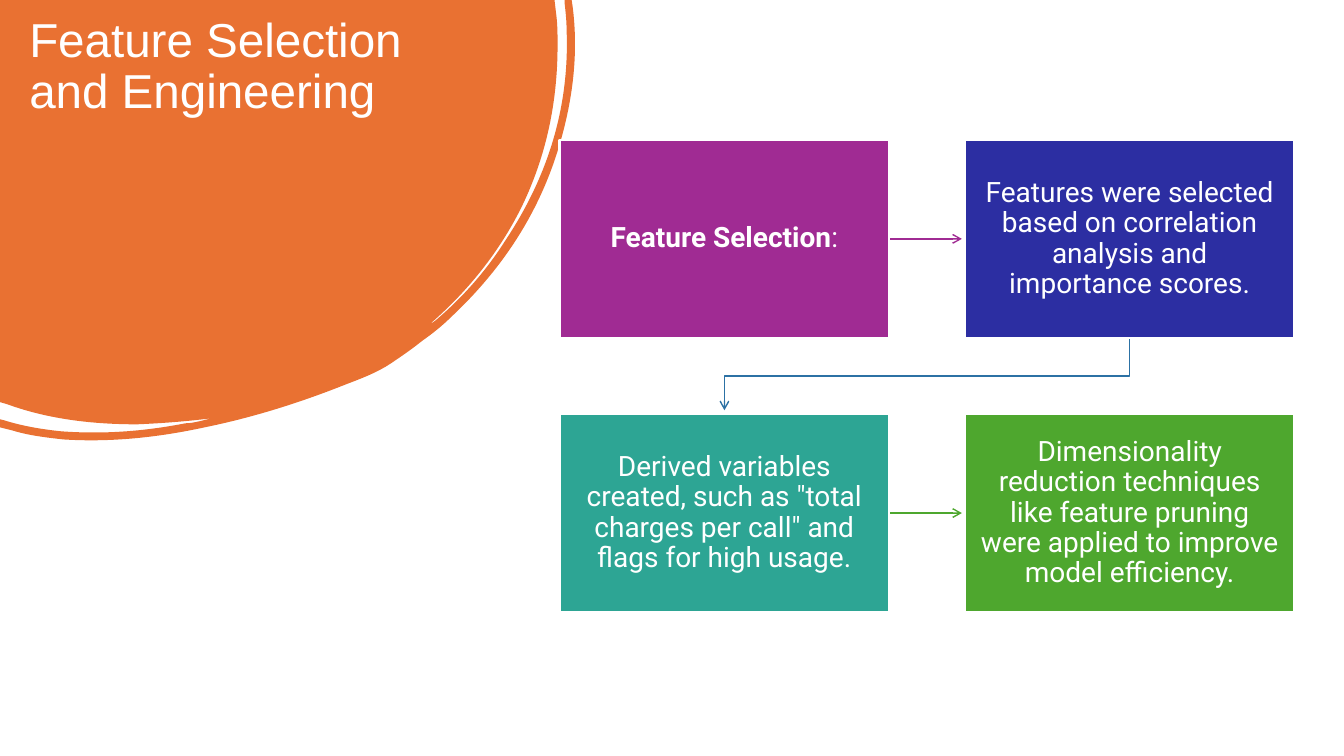
from pptx import Presentation
from pptx.dml.color import RGBColor
from pptx.enum.shapes import MSO_CONNECTOR, MSO_SHAPE
from pptx.enum.text import MSO_ANCHOR, MSO_AUTO_SIZE, PP_ALIGN
from pptx.oxml.ns import qn
from pptx.util import Inches, Pt
from lxml import etree

STRAIGHT = MSO_CONNECTOR.STRAIGHT
RECT = MSO_SHAPE.RECTANGLE
TOP, MIDDLE = MSO_ANCHOR.TOP, MSO_ANCHOR.MIDDLE
LEFT, CENTER = PP_ALIGN.LEFT, PP_ALIGN.CENTER
NO_FIT = MSO_AUTO_SIZE.NONE


def rgb(code):
    return RGBColor.from_string(code)


def style_arrow(arrow, color):
    arrow.line.color.rgb = rgb(color)
    arrow.line.width = Pt(1)
    line = arrow.line._get_or_add_ln()
    etree.SubElement(line, qn("a:tailEnd"), type="arrow")


deck = Presentation()
deck.slide_width, deck.slide_height = Inches(13.33), Inches(7.5)
slide = deck.slides.add_slide(deck.slide_layouts[5])
shapes = slide.shapes

# Orange corner blob: pairs are line ends, sixes are Bezier curves
OUTLINE = [
    (5.5, 0), (5.52, 0.17),
    (5.53, 0.26, 5.53, 0.36, 5.53, 0.45),
    (5.53, 1.01, 5.42, 1.54, 5.18, 2.04),
    (4.96, 2.49, 4.65, 2.88, 4.27, 3.21),
    (4.29, 3.21, 4.3, 3.19, 4.32, 3.18),
    (4.59, 2.95, 4.82, 2.69, 5.01, 2.39),
    (5.43, 1.76, 5.65, 1.07, 5.62, 0.3),
    (5.62, 0.21, 5.61, 0.12, 5.6, 0.03),
    (5.6, 0), (5.67, 0), (5.68, 0.07),
    (5.74, 0.54, 5.68, 1.02, 5.53, 1.5),
    (5.33, 2.14, 4.97, 2.68, 4.48, 3.14),
    (4.39, 3.23, 4.29, 3.31, 4.19, 3.38),
    (4.09, 3.46, 3.99, 3.53, 3.87, 3.61),
    (3.75, 3.69, 3.6, 3.75, 3.44, 3.81),
    (2.99, 3.99, 2.52, 4.14, 2.03, 4.24),
    (1.57, 4.34, 1.1, 4.39, 0.63, 4.36),
    (0.45, 4.34, 0.28, 4.32, 0.12, 4.27),
    (0, 4.24), (0, 4.16), (0.04, 4.17),
    (0.23, 4.23, 0.42, 4.26, 0.61, 4.28),
    (1.03, 4.31, 1.43, 4.28, 1.84, 4.2),
    (1.89, 4.2, 1.93, 4.19, 1.98, 4.18),
    (2.02, 4.17, 2.06, 4.16, 2.1, 4.15),
    (1.86, 4.18, 1.61, 4.2, 1.36, 4.21),
    (0.92, 4.21, 0.48, 4.16, 0.07, 4.01),
    (0, 3.99),
]
pen = shapes.build_freeform(0, 0)
pen.add_line_segments([(Inches(seg[-2]), Inches(seg[-1])) for seg in OUTLINE])
blob = pen.convert_to_shape()
blob.shadow.inherit = False
blob.fill.solid()
blob.fill.fore_color.rgb = rgb("E97132")
blob.line.fill.background()

# Bend the curved sides: two control points go before the end point
sides = list(blob._element.iter(qn("a:lnTo")))
for seg, side in zip(OUTLINE, sides):
    if len(seg) == 6:
        side.tag = qn("a:cubicBezTo")
        for i in (0, 1):
            x, y = Inches(seg[2 * i]), Inches(seg[2 * i + 1])
            side.insert(i, side.makeelement(qn("a:pt"), x=str(x), y=str(y)))

# Title, in front of the blob
title = shapes.title
title._element.addprevious(blob._element)
title.left, title.top = Inches(0.19), Inches(0.11)
title.width, title.height = Inches(4.66), Inches(2.22)
frame = title.text_frame
frame.text = "Feature Selection and Engineering"
frame.word_wrap = True
frame.auto_size = NO_FIT
frame.vertical_anchor = TOP
para = frame.paragraphs[0]
para.alignment = LEFT
para.line_spacing = 0.9
para.font.name, para.font.size = "Arial", Pt(34)
para.font.color.rgb = rgb("FFFFFF")

# Boxes in a two by two grid; the first part of each text is bold
X, Y, WIDTH, HEIGHT = 5.55, 1.39, 3.27, 1.96
COL_STEP, ROW_STEP = 4.02, 2.72
STAGES = [
    ("A02B93", "Feature Selection", ":"),
    ("2C2EA2", "", "Features were selected based on correlation analysis "
     "and importance scores."),
    ("2DA594", "", 'Derived variables created, such as "total charges per '
     'call" and flags for high usage.'),
    ("4EA72E", "", "Dimensionality reduction techniques like feature pruning "
     "were applied to improve model efficiency."),
]
boxes = []
for i, (color, strong, plain) in enumerate(STAGES):
    row, col = divmod(i, 2)
    box = shapes.add_shape(RECT, Inches(X + col * COL_STEP),
                           Inches(Y + row * ROW_STEP),
                           Inches(WIDTH), Inches(HEIGHT))
    box.shadow.inherit = False
    box.fill.solid()
    box.fill.fore_color.rgb = rgb(color)
    box.line.color.rgb = rgb("FFFFFF")
    box.line.width = Pt(1.5)
    frame = box.text_frame
    frame.word_wrap = True
    frame.vertical_anchor = MIDDLE
    frame.margin_left = frame.margin_right = Inches(0.15)
    frame.margin_top = frame.margin_bottom = Inches(0.17)
    para = frame.paragraphs[0]
    para.alignment = CENTER
    para.line_spacing = 0.9
    para.font.name, para.font.size = "Roboto", Pt(20)
    para.font.color.rgb = rgb("FFFFFF")
    if strong:
        run = para.add_run()
        run.text = strong
        run.font.bold = True
    para.add_run().text = plain
    boxes.append(box)

# Arrows along each row, behind the boxes
GAP = 0.72
for row, color in enumerate(["A02B93", "4EA72E"]):
    start, y = Inches(X + WIDTH), Inches(Y + HEIGHT / 2 + row * ROW_STEP)
    arrow = shapes.add_connector(STRAIGHT, start, y, start + Inches(GAP), y)
    arrow.begin_connect(boxes[2 * row], 3)
    style_arrow(arrow, color)
    etree.SubElement(arrow._element.spPr, qn("a:effectLst"))
    boxes[2 * row]._element.addprevious(arrow._element)

# Bent arrow from the first row to the second
low = X + WIDTH / 2
high = low + COL_STEP
base = Y + HEIGHT
bend = base + 0.38
pen = shapes.build_freeform(Inches(high), Inches(base))
pen.add_line_segments([(Inches(x), Inches(y)) for x, y in
                       [(high, bend), (low, bend), (low, base + GAP)]],
                      close=False)
turn = pen.convert_to_shape()
turn.shadow.inherit = False
turn.fill.background()
style_arrow(turn, "2C71A4")
boxes[1]._element.addprevious(turn._element)

deck.save("out.pptx")
